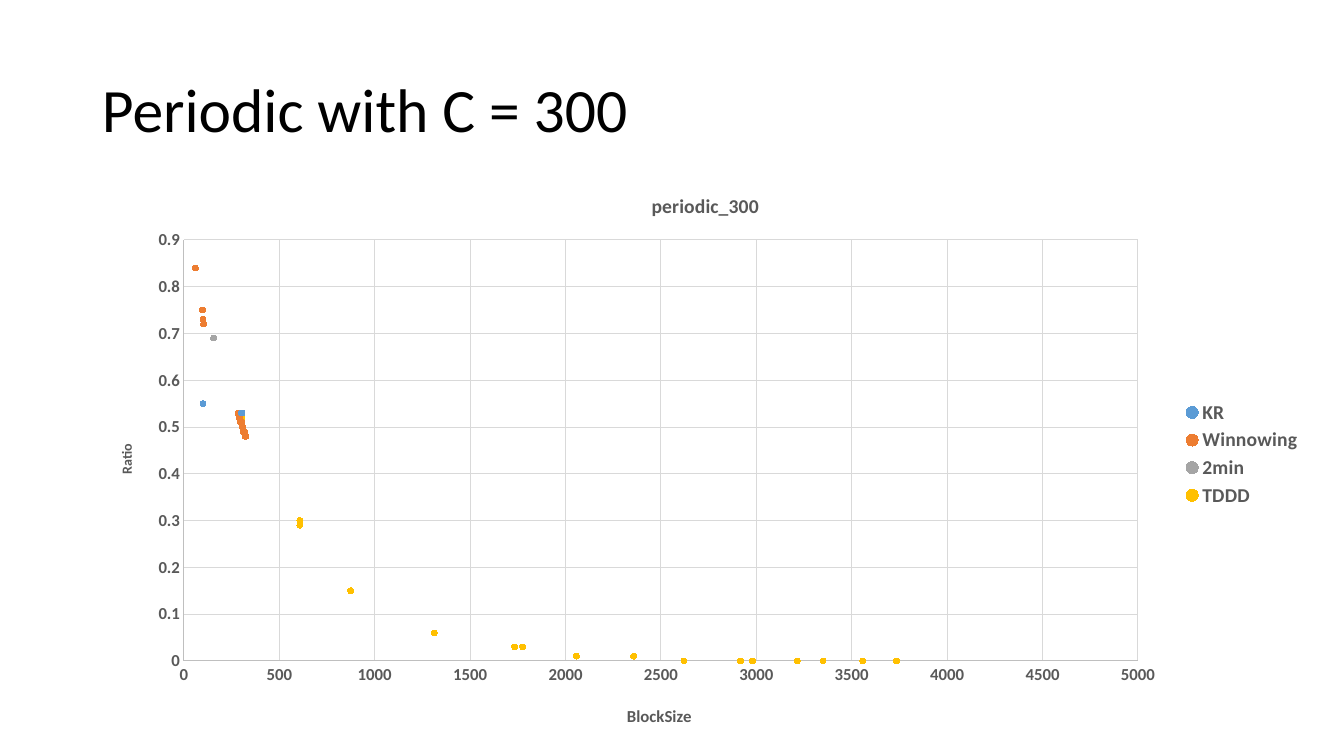
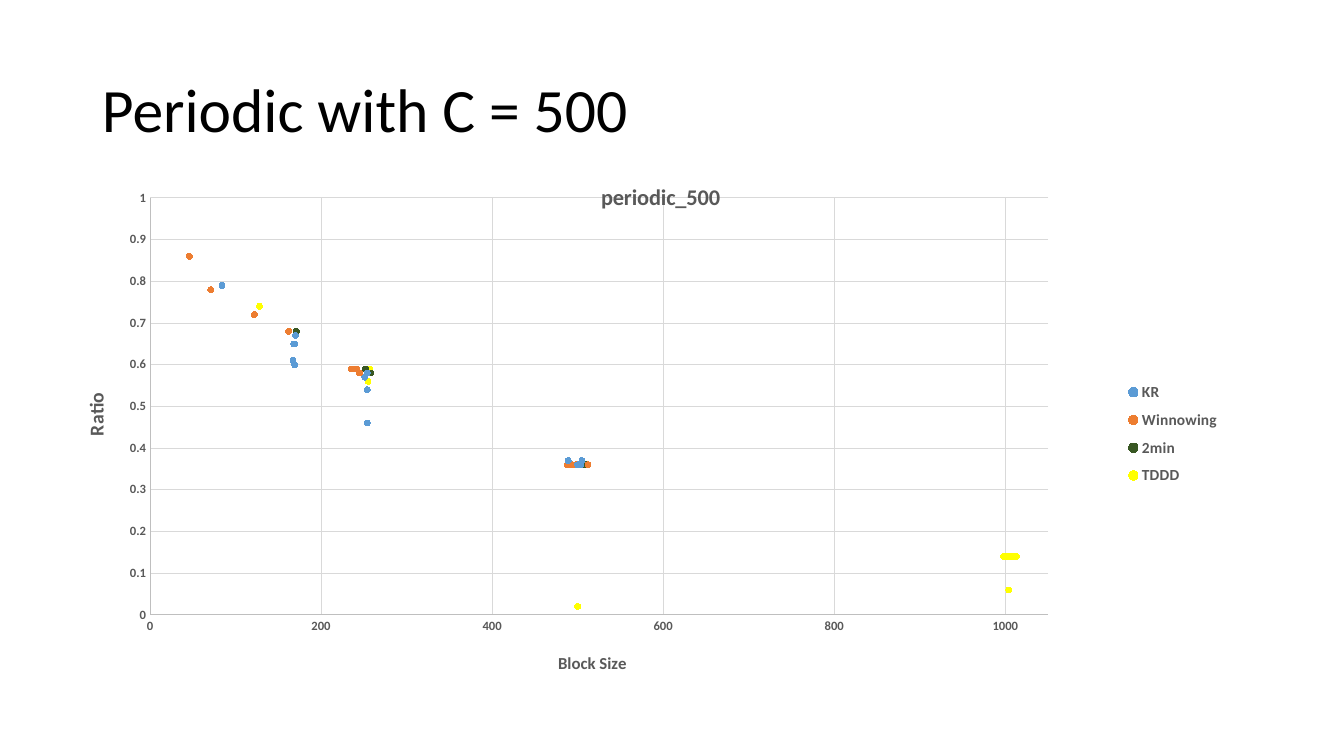
from lxml.etree import SubElement
from pptx import Presentation
from pptx.chart.data import XyChartData
from pptx.dml.color import RGBColor
from pptx.enum.chart import XL_CHART_TYPE, XL_LEGEND_POSITION, XL_MARKER_STYLE, XL_TICK_MARK
from pptx.enum.text import MSO_ANCHOR
from pptx.oxml.ns import qn
from pptx.util import Emu, Pt

PX = 914400 / 100.8
FONT = "Calibri"
BLACK, TEXT, AXIS, GRID = "000000", "595959", "BFBFBF", "D9D9D9"


def px(length):
    return Emu(round(length * PX))


def color(hex_value):
    return RGBColor.from_string(hex_value)


def apply(target, values):
    for name, value in values.items():
        setattr(target, name, value)


class Deck:
    def __init__(self):
        self.prs = Presentation()
        apply(self.prs, {"slide_width": px(1344), "slide_height": px(756)})
        self.slide = None

    def add_slide(self):
        self.slide = self.prs.slides.add_slide(self.prs.slide_layouts[6])

    def style_font(self, font, size, hex_value=TEXT, bold=True):
        apply(font, {"name": FONT, "size": Pt(size), "bold": bold})
        font.color.rgb = color(hex_value)

    def style_line(self, line, hex_value):
        line.color.rgb = color(hex_value)
        line.width = Pt(0.75)

    def heading(self, text):
        frame = self.slide.shapes.add_textbox(px(92), px(40), px(1159), px(146)).text_frame
        apply(frame, {"word_wrap": True, "vertical_anchor": MSO_ANCHOR.MIDDLE, "text": text})
        paragraph = frame.paragraphs[0]
        paragraph.line_spacing = 0.9
        self.style_font(paragraph.runs[0].font, 44, BLACK, False)

    def place(self, parent, index, frame, left, top, width=None, height=None, inner=False):
        for old in parent.findall(qn("c:layout")):
            parent.remove(old)
        layout = SubElement(parent, qn("c:layout"))
        parent.insert(index, layout)
        manual = SubElement(layout, qn("c:manualLayout"))
        fractions = {
            "x": (left - frame[0]) / frame[2],
            "y": (top - frame[1]) / frame[3],
        }
        if width:
            fractions.update(w=width / frame[2], h=height / frame[3])
        settings = {"layoutTarget": "inner"} if inner else {}
        settings.update(xMode="edge", yMode="edge")
        settings.update({name: f"{value:.4f}" for name, value in fractions.items()})
        for name, value in settings.items():
            SubElement(manual, qn(f"c:{name}")).set("val", value)

    def caption(self, title, text, size, frame, corner, rotated=False):
        title.text_frame.text = text
        self.style_font(title.text_frame.paragraphs[0].runs[0].font, size)
        if rotated:
            body = title._element.find(".//" + qn("a:bodyPr"))
            apply_xml = {"rot": "-5400000", "vert": "horz"}
            for name, value in apply_xml.items():
                body.set(name, value)
        self.place(title._element, 1, frame, *corner)

    def axis(self, axis, size, maximum, step):
        apply(axis, {
            "minimum_scale": 0, "maximum_scale": maximum, "major_unit": step,
            "major_tick_mark": XL_TICK_MARK.NONE, "minor_tick_mark": XL_TICK_MARK.NONE,
            "has_major_gridlines": True, "has_title": True,
        })
        apply(axis.tick_labels, {"number_format": "General", "number_format_is_linked": False})
        self.style_font(axis.tick_labels.font, size)
        self.style_line(axis.format.line, AXIS)
        self.style_line(axis.major_gridlines.format.line, GRID)

    def scatter(self, frame, plot, title, x_axis, y_axis, legend, series):
        data = XyChartData()
        for name, _, block_sizes, ratios in series:
            points = data.add_series(name)
            for block_size, ratio in zip(block_sizes, ratios):
                points.add_data_point(block_size, ratio)
        chart = self.slide.shapes.add_chart(
            XL_CHART_TYPE.XY_SCATTER, *map(px, frame), data).chart
        self.style_font(chart.font, 10, BLACK, False)
        apply(chart, {"has_title": True, "has_legend": True})
        chart.plots[0].vary_by_categories = False
        self.caption(chart.chart_title, *title[:2], frame, title[2])
        for axis, options, rotated in (
            (chart.category_axis, x_axis, False), (chart.value_axis, y_axis, True),
        ):
            self.axis(axis, *options["scale"])
            text, size, corner = options["title"]
            self.caption(axis.axis_title, text, size, frame, corner, rotated)
        self.place(chart._chartSpace.chart.plotArea, 0, frame, *plot, inner=True)
        apply(chart.legend, {"position": XL_LEGEND_POSITION.RIGHT, "include_in_layout": False})
        self.style_font(chart.legend.font, legend["size"])
        self.place(chart.legend._element, 1, frame, *legend["box"])
        for points, (_, hex_value, _, _) in zip(chart.plots[0].series, series):
            points.format.line.fill.background()
            apply(points, {"smooth": False})
            apply(points.marker, {"style": XL_MARKER_STYLE.CIRCLE, "size": 4})
            points.marker.format.fill.solid()
            points.marker.format.fill.fore_color.rgb = color(hex_value)
            self.style_line(points.marker.format.line, hex_value)


PERIODIC_300 = [
    ("KR", "5B9BD5",
     [100, 300, 100, 11000, 303, 14000, 305, 18000, 21000, 23000, 300, 28000, 27000,
      32000, 33000, 36000, 34000, 44000, 43000],
     [0.55, 0.53, 0.55, 0, 0.53, 0, 0.53, 0, 0, 0, 0.53] + [0] * 8),
    ("Winnowing", "ED7D31",
     [60, 97, 100, 103, 283, 286, 288, 290, 293, 297, 300, 303, 306, 309, 312, 315,
      318, 321, 324],
     [0.84, 0.75, 0.73, 0.72, 0.53, 0.53, 0.53, 0.52, 0.52, 0.51, 0.51, 0.51, 0.5, 0.5,
      0.49, 0.49, 0.49, 0.48, 0.48]),
    ("2min", "A5A5A5",
     [155, 300, 305, 310, 6400, 6500, 6600, 6600, 6700, 6800, 6900, 6900, 7000, 7000,
      7100, 7100, 7200, 7200, 7300],
     [0.69, 0.51, 0.5, 0.49] + [0] * 15),
    ("TDDD", "FFC000",
     [300, 305, 300, 873, 295, 1312, 607, 1733, 1775, 2057, 607, 2357, 2620, 2917, 2980,
      3215, 3350, 3558, 3735],
     [0.52, 0.52, 0.53, 0.15, 0.53, 0.06, 0.29, 0.03, 0.03, 0.01, 0.3, 0.01] + [0] * 7),
]

PERIODIC_500 = [
    ("KR", "5B9BD5",
     [84, 167, 168, 489, 251, 169, 169, 500, 22000, 24000, 502, 26000, 254, 505, 254,
      254, 504, 170, 46000],
     [0.79, 0.61, 0.65, 0.37, 0.57, 0.6, 0.65, 0.36, 0, 0, 0.36, 0, 0.46, 0.37, 0.58,
      0.54, 0.36, 0.67, 0]),
    ("Winnowing", "ED7D31",
     [46, 71, 122, 162, 235, 239, 242, 245, 488, 490, 492, 493, 494, 498, 500, 502, 503,
      504, 512],
     [0.86, 0.78, 0.72, 0.68, 0.59, 0.59, 0.59, 0.58] + [0.36] * 11),
    ("2min", "385723",
     [171, 252, 258, 490, 500, 502, 505, 510, 360000] + [380000] * 9 + [650000],
     [0.68, 0.59, 0.58] + [0.36] * 5 + [0] * 11),
    ("TDDD", "FFFF00",
     [128, 255, 257, 490, 499, 511, 500, 505, 1900, 1900, 998, 2400, 1000, 1003, 1006,
      1010, 1013, 1004, 3900],
     [0.74, 0.56, 0.59, 0.36, 0.36, 0.36, 0.02, 0.36, 0.01, 0.02, 0.14, 0] + [0.14] * 5
     + [0.06, 0]),
]


def main():
    deck = Deck()
    deck.add_slide()
    deck.heading("Periodic with C = 300")
    deck.scatter(
        frame=(93, 165, 1220, 578), plot=(184, 240, 954, 421),
        title=("periodic_300", 14, (648, 189)),
        x_axis={"scale": (12, 5000, 500), "title": ("BlockSize", 12, (624, 702))},
        y_axis={"scale": (12, 0.9, 0.1), "title": ("Ratio", 10, (115, 442))},
        legend={"size": 14, "box": (1182, 397, 120, 114)}, series=PERIODIC_300)
    deck.add_slide()
    deck.heading("Periodic with C = 500")
    deck.scatter(
        frame=(61, 155, 1189, 526), plot=(150, 198, 898, 417),
        title=("periodic_500", 16, (597, 178)),
        x_axis={"scale": (9, 1050, 200), "title": ("Block Size", 12, (555, 649))},
        y_axis={"scale": (9, 1, 0.1), "title": ("Ratio", 14, (79, 389))},
        legend={"size": 11, "box": (1108, 374, 130, 120)}, series=PERIODIC_500)
    deck.prs.save("out.pptx")


if __name__ == "__main__":
    main()
